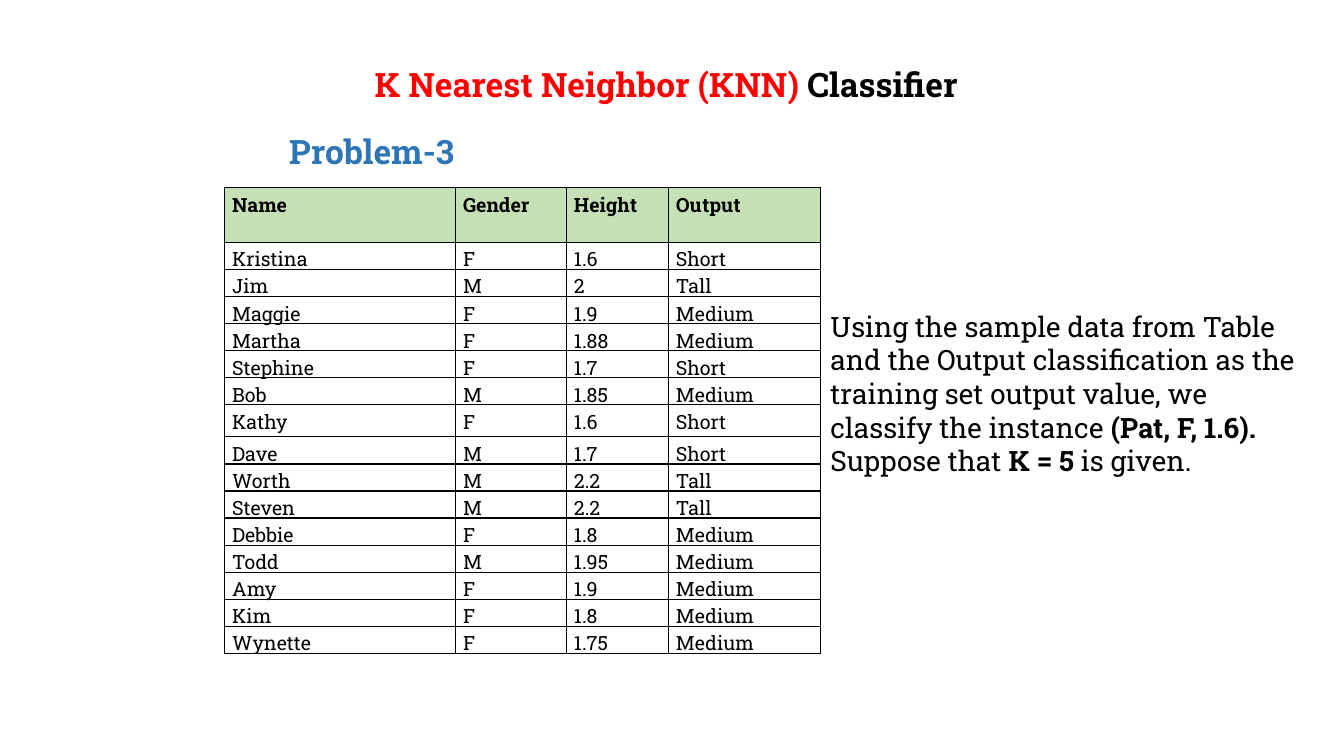
"""Build the K Nearest Neighbor problem slide."""
from dataclasses import dataclass
from typing import Any, NamedTuple, Optional

from lxml import etree
from pptx import Presentation
from pptx.dml.color import RGBColor
from pptx.enum import text as t
from pptx.oxml import ns
from pptx.util import Pt


@dataclass(frozen=True)
class Theme:
    """Hold the colours, font and type sizes."""
    font: str = "Roboto Slab"
    black: str = "000000"
    red: str = "FF0000"
    blue: str = "2E75B6"
    green: str = "C5E0B4"
    head: float = 24
    body: float = 20
    cell: float = 14
    lead: float = 1.15


THEME = Theme()


class Run(NamedTuple):
    """Describe a stretch of text."""
    text: str
    color: str = THEME.black
    bold: bool = False


class Box(NamedTuple):
    """Describe a text block and its place in points."""
    left: float
    top: float
    width: float
    height: float
    size: float
    runs: list[Run]
    para: dict[str, Any]
    wrap: bool = True


class Pupil(NamedTuple):
    """Describe one row of the sample data."""
    name: str
    gender: str
    height: str
    output: str


TITLE = Box(244.08, 37.44, 469.44, 40.32, THEME.head,
            [Run("K Nearest Neighbor (KNN)", THEME.red, True),
             Run(" Classifier ", bold=True)],
            {"alignment": t.PP_ALIGN.CENTER, "line_spacing": THEME.lead})
TASK = Box(586.08, 217.44, 354.24, 127.44, THEME.body,
           [Run("Using the sample data from Table and the Output classification "
                "as the training set output value, we classify the instance "),
            Run("(Pat, F, 1.6). ", bold=True), Run("Suppose that "),
            Run("K = 5 ", bold=True), Run("is given.")], {})
LABEL = Box(199.44, 85.68, 136.8, 40.32, THEME.head,
            [Run("Problem-3", THEME.blue, True)],
            {"line_spacing": THEME.lead, "space_after": Pt(10)}, False)

HEADS = Pupil("Name", "Gender", "Height", "Output")
PUPILS = [
    Pupil("Kristina", "F", "1.6", "Short"),
    Pupil("Jim", "M", "2", "Tall"),
    Pupil("Maggie", "F", "1.9", "Medium"),
    Pupil("Martha", "F", "1.88", "Medium"),
    Pupil("Stephine", "F", "1.7", "Short"),
    Pupil("Bob", "M", "1.85", "Medium"),
    Pupil("Kathy", "F", "1.6", "Short"),
    Pupil("Dave", "M", "1.7", "Short"),
    Pupil("Worth", "M", "2.2", "Tall"),
    Pupil("Steven", "M", "2.2", "Tall"),
    Pupil("Debbie", "F", "1.8", "Medium"),
    Pupil("Todd", "M", "1.95", "Medium"),
    Pupil("Amy", "F", "1.9", "Medium"),
    Pupil("Kim", "F", "1.8", "Medium"),
    Pupil("Wynette", "F", "1.75", "Medium"),
]
COLS = [165, 79.2, 72.8, 108.6]
TALL = {"Name": 39.2, "Kathy": 23}
ROW = 19.3


def apply(item: Any, values: dict[str, Any]) -> None:
    """Set each named attribute on an item."""
    for key, value in values.items():
        setattr(item, key, value)


def write(para: Any, runs: list[Run], size: float, form: dict[str, Any]) -> None:
    """Fill a paragraph with formatted runs."""
    apply(para, form)
    for part in runs:
        run = para.add_run()
        run.text = part.text
        apply(run.font, {"name": THEME.font, "size": Pt(size), "bold": part.bold})
        run.font.color.rgb = RGBColor.from_string(part.color)


def draw_box(slide: Any, box: Box, shape: Optional[Any] = None) -> None:
    """Draw a text block, in a given placeholder if there is one."""
    place = [Pt(n) for n in box[:4]]
    shape = shape or slide.shapes.add_textbox(*place)
    apply(shape, dict(zip(("left", "top", "width", "height"), place)))
    frame = shape.text_frame
    apply(frame, {"word_wrap": box.wrap, "vertical_anchor": t.MSO_ANCHOR.TOP,
                  "auto_size": t.MSO_AUTO_SIZE.SHAPE_TO_FIT_TEXT})
    write(frame.paragraphs[0], box.runs, box.size, box.para)


def rule_cell(cell: Any) -> None:
    """Draw a thin line on each side of a cell."""
    props = cell._tc.get_or_add_tcPr()
    for spot, side in enumerate(("lnL", "lnR", "lnT", "lnB")):
        line = etree.Element(ns.qn(f"a:{side}"), w=str(Pt(1)))
        fill = etree.SubElement(line, ns.qn("a:solidFill"))
        etree.SubElement(fill, ns.qn("a:srgbClr"), val=THEME.black)
        props.insert(spot, line)


def draw_cell(cell: Any, word: str, head: bool) -> None:
    """Write and format one table cell."""
    apply(cell, {"margin_left": Pt(5.4), "margin_right": Pt(5.4),
                 "margin_top": 0, "margin_bottom": 0})
    if head:
        cell.fill.solid()
        cell.fill.fore_color.rgb = RGBColor.from_string(THEME.green)
    else:
        cell.fill.background()
    write(cell.text_frame.paragraphs[0], [Run(word, bold=head)], THEME.cell,
          {"line_spacing": THEME.lead})
    rule_cell(cell)


def draw_table(slide: Any, rows: list[Pupil]) -> None:
    """Draw the sample data under its heading row."""
    highs = [TALL.get(row.name, ROW) for row in rows]
    table = slide.shapes.add_table(len(rows), len(COLS), Pt(160.4), Pt(133.9),
                                   Pt(sum(COLS)), Pt(sum(highs))).table
    apply(table, {"first_row": False, "horz_banding": False})
    for col, width in zip(table.columns, COLS):
        col.width = Pt(width)
    for r, (row, high) in enumerate(zip(rows, highs)):
        table.rows[r].height = Pt(high)
        for c, word in enumerate(row):
            draw_cell(table.cell(r, c), word, r == 0)


def main() -> None:
    """Build and save the slide."""
    deck = Presentation()
    apply(deck, {"slide_width": Pt(960), "slide_height": Pt(540)})
    slide = deck.slides.add_slide(deck.slide_layouts[5])
    draw_box(slide, TITLE, slide.shapes.title)
    draw_box(slide, TASK)
    draw_table(slide, [HEADS, *PUPILS])
    draw_box(slide, LABEL)
    deck.save("out.pptx")


if __name__ == "__main__":
    main()
